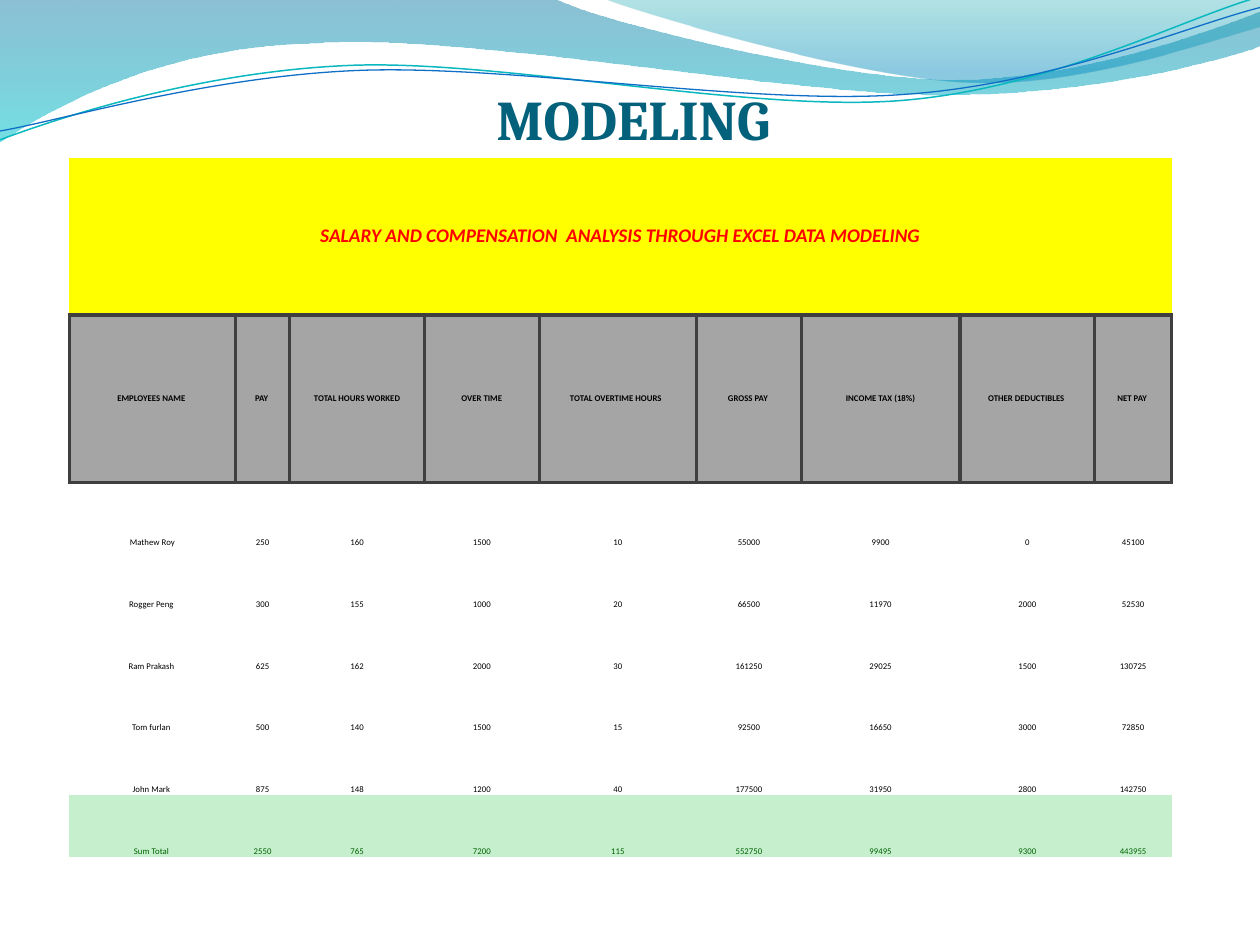
from lxml.etree import SubElement
from pptx import Presentation
from pptx.dml.color import RGBColor
from pptx.enum.text import MSO_ANCHOR as Anchor, MSO_AUTO_SIZE as AutoSize, PP_ALIGN as Align
from pptx.oxml import parse_xml
from pptx.oxml.ns import nsdecls, qn
from pptx.util import Inches, Pt

HEADERS = ["EMPLOYEES NAME ", "PAY ", "TOTAL HOURS WORKED", " OVER TIME ",
           "TOTAL OVERTIME HOURS  ", "GROSS PAY ", "INCOME TAX (18%)",
           "OTHER DEDUCTIBLES ", "NET PAY "]
EMPLOYEES = [
    ["Mathew Roy", 250, 160, 1500, 10, 55000, 9900, 0, 45100],
    ["Rogger Peng ", 300, 155, 1000, 20, 66500, 11970, 2000, 52530],
    ["Ram Prakash ", 625, 162, 2000, 30, 161250, 29025, 1500, 130725],
    ["Tom furlan ", 500, 140, 1500, 15, 92500, 16650, 3000, 72850],
    ["John Mark ", 875, 148, 1200, 40, 177500, 31950, 2800, 142750],
]
TOTALS = ["Sum Total ", 2550, 765, 7200, 115, 552750, 99495, 9300, 443955]
COLUMN_WIDTHS = [1.32, 0.43, 1.07, 0.91, 1.25, 0.83, 1.26, 1.07, 0.61]
ROW_HEIGHTS = [1.25, 1.33, 0.52] + [0.49] * 5
NO_STYLE = "{2D5ABB26-0587-4C30-8999-92F81FD0307C}"

# Each outline is a start point, then line ends (2 numbers) or curves (6 numbers).
WIDE_WAVE = [(0, 0), (4.4, -0.01), (4.76, 0.17, 6.64, 0.63, 7.58, 0.63),
             (8.53, 0.63, 9.58, 0.26, 10, 0.09), (10.01, 0.36),
             (9.83, 0.44, 8.7, 0.76, 7.46, 0.75), (6.22, 0.75, 3.82, 0.28, 2.57, 0.34),
             (1.29, 0.36, 0.46, 0.83, -0.01, 1.13), (0, 0)]
RIGHT_WAVE = [(4.79, -0.01), (5.09, 0.11, 6.82, 0.62, 7.69, 0.65),
              (8.56, 0.69, 9.61, 0.32, 10, 0.21), (10, 0), (4.79, -0.01)]
TEAL_LINE = [(0, 1.11), (0.48, 0.93, 1.58, 0.57, 2.77, 0.52),
             (3.95, 0.47, 5.93, 0.89, 7.13, 0.8), (8.33, 0.71, 9.38, 0.15, 9.98, -0.02)]
BLUE_LINE = [(0, 1.04), (0.47, 0.96, 1.64, 0.61, 2.83, 0.56),
             (4.03, 0.51, 5.97, 0.84, 7.17, 0.75), (8.36, 0.67, 9.41, 0.21, 10, 0.06)]


def rgb(value):
    return RGBColor.from_string(value)


def write(tf, text, size, color, font="Calibri", bold=False, italic=False):
    p = tf.paragraphs[0]
    p.alignment = Align.CENTER
    r = p.add_run()
    r.text = str(text)
    r.font.name, r.font.size = font, Pt(size)
    r.font.bold, r.font.italic = bold, italic
    r.font.color.rgb = rgb(color)


def bend_curves(sp, outline):
    """Join each three lines that stand for a curve into one cubic curve."""
    lines = iter(list(sp._element.iter(qn("a:lnTo"))))
    for seg in outline[1:]:
        curve = next(lines)
        if len(seg) == 6:
            curve.tag = qn("a:cubicBezTo")
            for line in (next(lines), next(lines)):
                curve.append(line[0])
                line.getparent().remove(line)


def set_borders(cell, sides, color="3F3F3F", width=2):
    tc_pr = cell._tc.get_or_add_tcPr()
    for i, side in enumerate(sides):
        ln = parse_xml(f'<a:ln{side} {nsdecls("a")} w="{Pt(width)}"><a:solidFill>'
                       f'<a:srgbClr val="{color}"/></a:solidFill></a:ln{side}>')
        tc_pr.insert(i, ln)


class SlideBuilder:
    ink = "000000"
    title_color = "04617B"

    def __init__(self, prs):
        self.s = prs.slides.add_slide(prs.slide_layouts[5])

    def title(self, text, x, y, w, h):
        sp = self.s.shapes.title
        sp.left, sp.top, sp.width, sp.height = map(Inches, (x, y, w, h))
        tf = sp.text_frame
        tf.auto_size, tf.vertical_anchor = AutoSize.NONE, Anchor.TOP
        write(tf, text, 32, self.title_color, font="Cambria", bold=True)

    def outline(self, outline, close):
        points = [(Inches(seg[i]), Inches(seg[i + 1]))
                  for seg in outline for i in range(0, len(seg), 2)]
        builder = self.s.shapes.build_freeform(*points[0], scale=1.0)
        builder.add_line_segments(points[1:], close=close)
        sp = builder.convert_to_shape()
        bend_curves(sp, outline)
        sp.shadow.inherit = False
        return sp

    def wave(self, outline, stops):
        """Draw a filled wave; stops are (position %, colour, opacity %)."""
        sp = self.outline(outline, close=True)
        sp.line.fill.background()
        sp.fill.gradient()
        sp.fill.gradient_angle = 270
        gs_lst = sp._element.spPr.find(qn("a:gradFill")).find(qn("a:gsLst"))
        for gs in list(gs_lst):
            gs_lst.remove(gs)
        for pos, color, opacity in stops:
            gs = SubElement(gs_lst, qn("a:gs"), pos=str(pos * 1000))
            clr = SubElement(gs, qn("a:srgbClr"), val=color)
            SubElement(clr, qn("a:alpha"), val=str(opacity * 1000))

    def wave_line(self, outline, color, width):
        sp = self.outline(outline, close=False)
        sp.fill.background()
        sp.line.color.rgb = rgb(color)
        sp.line.width = Pt(width)

    def cell(self, cell, text, fill=None, anchor=Anchor.BOTTOM, size=5, color=ink, **fmt):
        cell.margin_left = cell.margin_right = cell.margin_top = cell.margin_bottom = 0
        cell.vertical_anchor = anchor
        if fill:
            cell.fill.solid()
            cell.fill.fore_color.rgb = rgb(fill)
        else:
            cell.fill.background()
        write(cell.text_frame, text, size, color, **fmt)

    def salary_table(self, x, y):
        frame = self.s.shapes.add_table(
            len(ROW_HEIGHTS), len(COLUMN_WIDTHS), Inches(x), Inches(y),
            Inches(sum(COLUMN_WIDTHS)), Inches(sum(ROW_HEIGHTS)))
        table = frame.table
        table.first_row = table.horz_banding = False
        table._tbl.tblPr.find(qn("a:tableStyleId")).text = NO_STYLE
        for col, width in zip(table.columns, COLUMN_WIDTHS):
            col.width = Inches(width)
        for row, height in zip(table.rows, ROW_HEIGHTS):
            row.height = Inches(height)

        banner = table.cell(0, 0)
        banner.merge(table.cell(0, len(COLUMN_WIDTHS) - 1))
        self.cell(banner, "SALARY AND COMPENSATION  ANALYSIS THROUGH EXCEL DATA MODELING",
                  "FFFF00", Anchor.MIDDLE, 11, "FF0000", bold=True, italic=True)
        for c, header in enumerate(HEADERS):
            self.cell(table.cell(1, c), header, "A5A5A5", Anchor.MIDDLE, bold=True)
            set_borders(table.cell(1, c), "LRTB")
        for r, values in enumerate(EMPLOYEES, start=2):
            for c, value in enumerate(values):
                self.cell(table.cell(r, c), value)
        for c, value in enumerate(TOTALS):
            self.cell(table.cell(len(ROW_HEIGHTS) - 1, c), value, "C6EFCE", color="006100")


def main():
    prs = Presentation()
    prs.slide_width, prs.slide_height = Inches(10), Inches(7.5)
    slide = SlideBuilder(prs)
    slide.wave(WIDE_WAVE, [(0, "0074A1", 45), (100, "00C6CF", 55)])
    slide.wave(RIGHT_WAVE, [(0, "00A1A9", 30), (80, "008BBF", 45)])
    slide.wave_line(TEAL_LINE, "0AB8BF", 0.85)
    slide.wave_line(BLUE_LINE, "0F6FC6", 0.75)
    slide.salary_table(0.55, 1.25)
    slide.title("MODELING ", 3.67, 0.62, 2.81, 0.64)
    prs.save("out.pptx")


if __name__ == "__main__":
    main()
